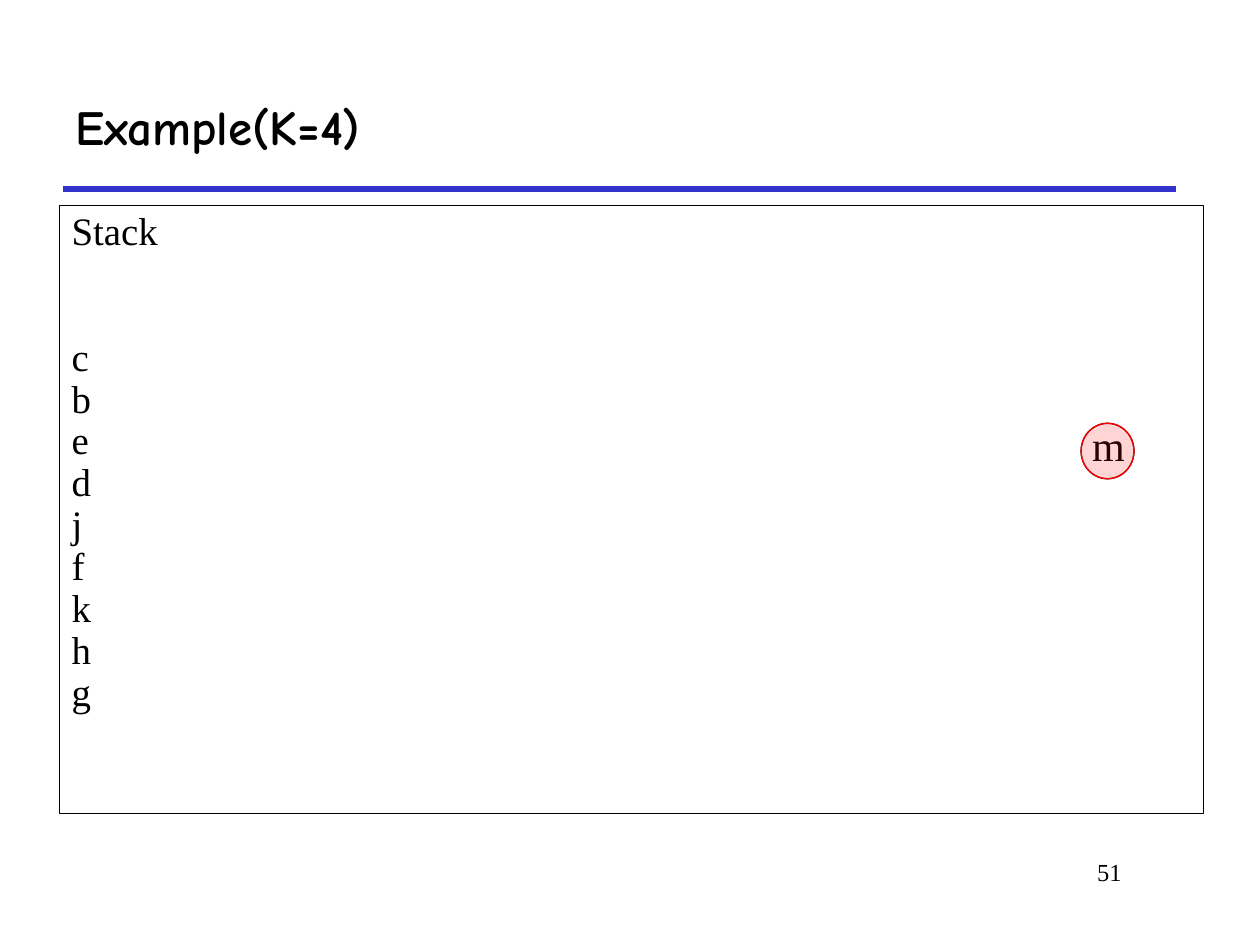
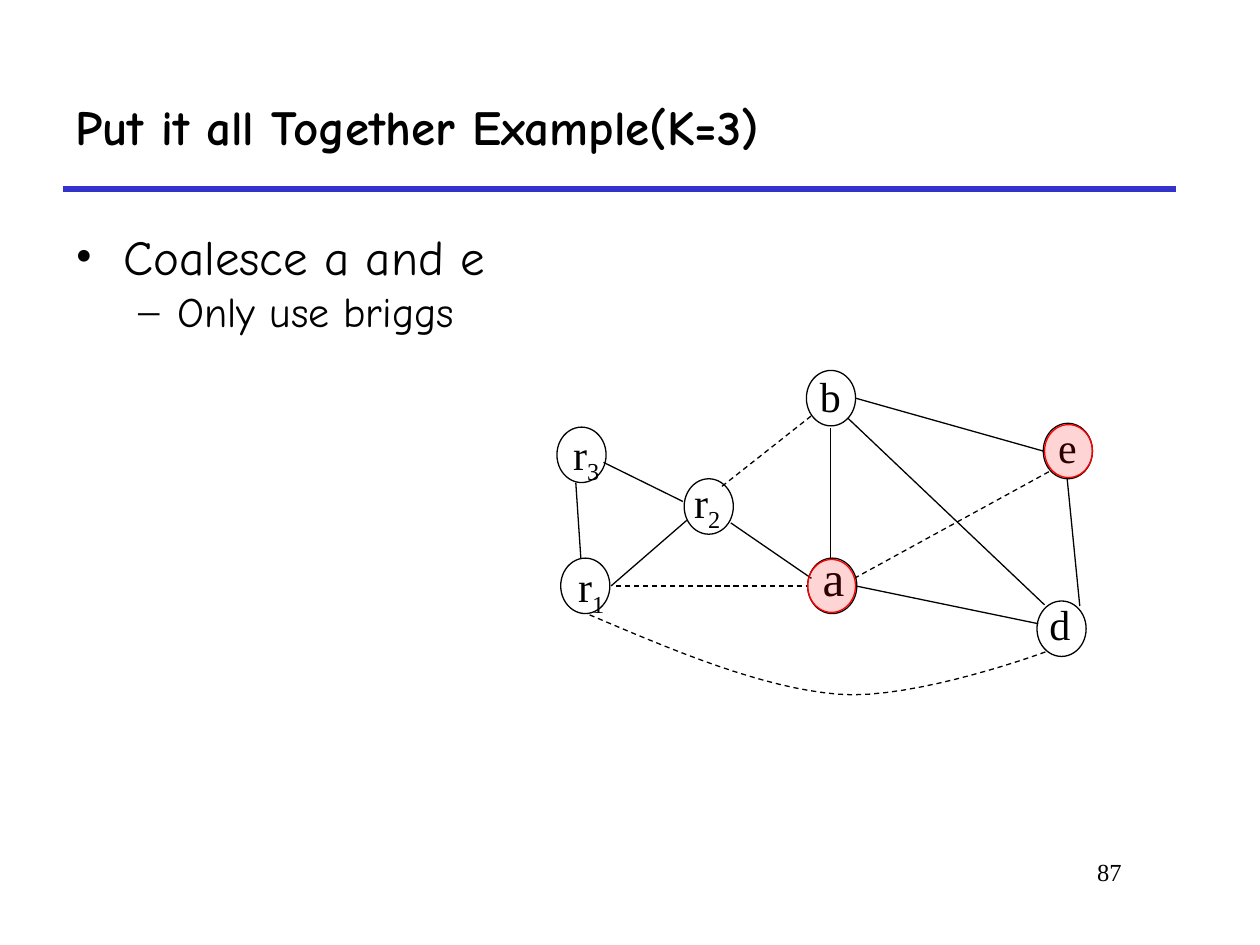
from lxml import etree
from pptx import Presentation
from pptx.dml.color import RGBColor
from pptx.enum.dml import MSO_LINE as Dash
from pptx.enum.shapes import MSO_CONNECTOR as Link, MSO_SHAPE as Form
from pptx.enum.text import MSO_ANCHOR as Anchor, PP_ALIGN as Align
from pptx.oxml.ns import qn
from pptx.util import Inches, Pt

BLACK = RGBColor(0x00, 0x00, 0x00)
BLUE = RGBColor(0x33, 0x33, 0xCC)
RED = RGBColor(0xFF, 0x00, 0x00)
SERIF, COMIC = "Times New Roman", "Comic Neue"
WIDE, HIGH = 0.39, 0.44


class Deck:
    """Holds the style, the file and the slide being drawn."""

    def __init__(self):
        self.prs = Presentation()
        self.prs.slide_width, self.prs.slide_height = Inches(10), Inches(7.5)
        self.slide = None

    def page(self, title, number):
        self.slide = self.prs.slides.add_slide(self.prs.slide_layouts[6])
        self.line((0.5, 1.5), (9.33, 1.5), BLUE, 3)
        frame = self.box(0.5, 0.5, 8.83, 1)
        frame.vertical_anchor = Anchor.MIDDLE
        self.run(frame.paragraphs[0], title, 28, COMIC).font.bold = True
        para = self.box(6.92, 6.75, 2.08, 0.5).paragraphs[0]
        para.alignment = Align.RIGHT
        self.run(para, str(number), 14)

    def box(self, x, y, w, h, wrap=True, edge=False):
        """Add an empty text box and return its text frame."""
        shape = self.slide.shapes.add_textbox(*map(Inches, (x, y, w, h)))
        shape.text_frame.word_wrap = wrap
        if edge:
            self.pen(shape)
        return shape.text_frame

    def run(self, para, text, size, face=SERIF):
        run = para.add_run()
        run.text = text
        font = run.font
        font.size, font.name = Pt(size), face
        font.color.rgb = BLACK
        return run

    def pen(self, shape, color=BLACK, width=0.75, dash=False):
        shape.line.color.rgb = color
        shape.line.width = Pt(width)
        if dash:
            shape.line.dash_style = Dash.DASH

    def line(self, start, end, color=BLACK, width=0.75, dash=False):
        link = self.slide.shapes.add_connector(
            Link.STRAIGHT, *map(Inches, (*start, *end)))
        self.pen(link, color, width, dash)
        etree.SubElement(link._element.spPr, qn("a:effectLst"))

    def oval(self, x, y, w=WIDE, h=HIGH, color=BLACK):
        shape = self.slide.shapes.add_shape(
            Form.OVAL, *map(Inches, (x, y, w, h)))
        shape.shadow.inherit = False
        shape.fill.background()
        self.pen(shape, color)
        return shape

    def tint(self, x, y, w=0.38, h=0.42):
        """Lay a see-through red oval over a node."""
        shape = self.oval(x, y, w, h, RED)
        shape.fill.solid()
        shape.fill.fore_color.rgb = RED
        tone = shape._element.spPr.find(qn("a:solidFill"))[0]
        etree.SubElement(tone, qn("a:alpha"), val="17000")

    def label(self, x, y, w, text, sub="", size=24):
        para = self.box(x, y, w, 0.56 if sub else 0.5, False).paragraphs[0]
        self.run(para, text, size)
        if sub:
            low = self.run(para, sub, size)
            low.font._element.set("baseline", "-25000")

    def bullet(self, para, text, mark, size, left, hang):
        props = para._p.get_or_add_pPr()
        props.set("marL", str(Inches(left)))
        props.set("indent", str(-Inches(hang)))
        etree.SubElement(props, qn("a:buFont"), typeface=SERIF)
        etree.SubElement(props, qn("a:buChar"), char=mark)
        self.run(para, text, size, COMIC)

    def curve(self, start, parts, steps=16):
        """Draw a dashed open path through cubic Bezier parts."""
        dots, first = [], start
        for one, two, last in parts:
            for step in range(1, steps + 1):
                t = step / steps
                u = 1 - t
                dots.append(tuple(
                    Inches(u**3 * a + 3 * u * u * t * b
                           + 3 * u * t * t * c + t**3 * d)
                    for a, b, c, d in zip(first, one, two, last)))
            first = last
        path = self.slide.shapes.build_freeform(*map(Inches, start))
        path.add_line_segments(dots, close=False)
        shape = path.convert_to_shape()
        shape.shadow.inherit = False
        shape.fill.background()
        self.pen(shape, dash=True)


def stack(deck):
    deck.page("Example(K=4)", 51)
    frame = deck.box(0.47, 1.63, 9.08, 4.83, edge=True)
    for i, word in enumerate(["Stack", *"cbedjfkhg"]):
        para = frame.add_paragraph() if i else frame.paragraphs[0]
        para.line_spacing = 0.9
        para.space_before = Pt(48 if i == 1 else 0)
        deck.run(para, word, 22.2)
    deck.oval(8.58, 3.36, 0.42)
    deck.label(8.57, 3.28, 0.46, "m")
    deck.tint(8.58, 3.36, 0.42, HIGH)


def graph(deck):
    deck.page("Put it all Together Example(K=3)", 87)
    frame = deck.box(0.5, 1.75, 4.77, 5.08)
    deck.bullet(frame.paragraphs[0], "Coalesce a and e", "•", 28, 0.38, 0.38)
    deck.bullet(frame.add_paragraph(), "Only use briggs", "–", 24, 0.81, 0.31)

    nodes = [  # oval corner, then label
        ((4.42, 3.39), (4.45, 3.35, 0.41, "r", "3")),
        ((4.45, 4.43), (4.49, 4.4, 0.41, "r", "1")),
        ((6.41, 4.43), (6.43, 4.3, 0.37, "a", "", 28)),
        ((5.43, 3.8), (5.41, 3.73, 0.41, "r", "2")),
        ((8.23, 4.77), (8.23, 4.7, 0.36, "d")),
        ((6.4, 2.94), (6.41, 2.89, 0.36, "b")),
        ((8.28, 3.36), (8.3, 3.3, 0.35, "e")),
    ]
    for spot, label in nodes:
        deck.oval(*spot)
        deck.label(*label)

    edges = [
        ((4.79, 3.67), (5.42, 3.98)),
        ((4.57, 3.83), (4.61, 4.43)),
        ((4.85, 4.65), (5.45, 4.13)),
        ((6.59, 3.4), (6.59, 4.43)),
        ((6.79, 4.65), (8.24, 4.95)),
        ((8.57, 4.81), (8.47, 3.8)),
        ((6.79, 3.16), (8.28, 3.58)),
        ((6.73, 3.32), (8.29, 4.8)),
        ((5.8, 4.15), (6.44, 4.59)),
    ]
    moves = [
        ((5.73, 3.86), (6.44, 3.3)),
        ((4.89, 4.65), (6.41, 4.65)),
        ((6.78, 4.59), (8.35, 3.73)),
    ]
    for ends in edges:
        deck.line(*ends)
    for ends in moves:
        deck.line(*ends, dash=True)
    deck.curve((4.68, 4.88), [
        ((5.36, 5.17), (6.05, 5.46), (6.65, 5.51)),
        ((7.26, 5.56), (8.31, 5.17), (8.31, 5.17)),
    ])
    deck.tint(8.29, 3.37)
    deck.tint(6.41, 4.44)


def main():
    deck = Deck()
    stack(deck)
    graph(deck)
    deck.prs.save("out.pptx")


if __name__ == "__main__":
    main()
